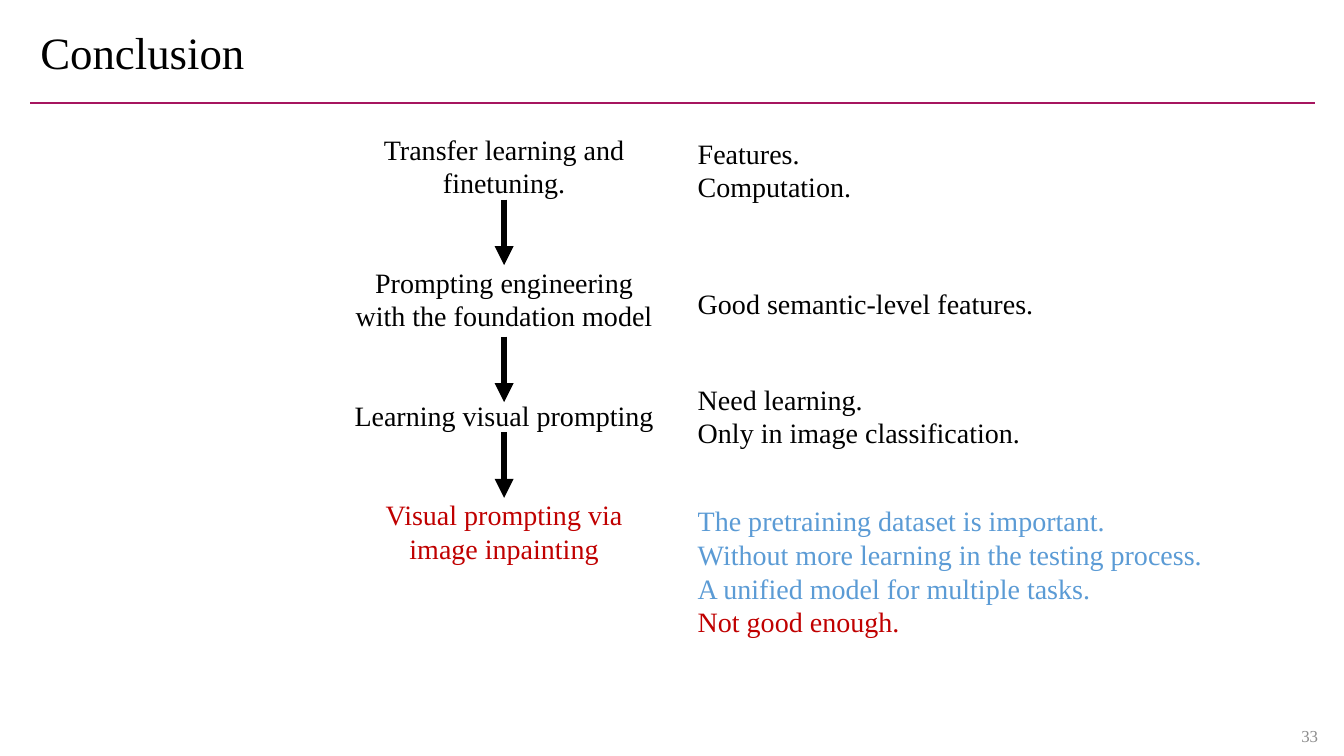
"""Build the conclusion slide: four learning stages beside their remarks."""
import pptx
import pptx.dml.color
import pptx.enum.shapes
import pptx.enum.text
import pptx.oxml
import pptx.oxml.ns
import pptx.util
from pptx.util import Inches

COLORS = {"ink": "000000", "red": "C00000", "blue": "5B9BD5", "rule": "A6155F", "grey": "8C8C8C"}
FONT = "Times New Roman"
LINE_HEIGHT = 0.335
STAGE_CENTER = 5.0
REMARK_LEFT = 6.92
ALIGN = pptx.enum.text.PP_ALIGN
ANCHOR = pptx.enum.text.MSO_ANCHOR

# top, width, wraps, paragraphs
STAGES = [
    (1.31, 2.8, True, [("Transfer learning and finetuning.", "ink")]),
    (2.63, 2.96, False, [("Prompting engineering", "ink"), ("with the foundation model", "ink")]),
    (3.95, 2.99, False, [("Learning visual prompting", "ink")]),
    (4.94, 2.8, True, [("Visual prompting via image inpainting", "red")]),
]
REMARKS = [
    (1.35, 1.53, [("Features.", "ink"), ("Computation.", "ink")]),
    (2.84, 3.35, [("Good semantic-level features.", "ink")]),
    (3.79, 3.22, [("Need learning.", "ink"), ("Only in image classification.", "ink")]),
    (5.0, 5.03, [
        ("The pretraining dataset is important.", "blue"),
        ("Without more learning in the testing process.", "blue"),
        ("A unified model for multiple tasks.", "blue"),
        ("Not good enough.", "red"),
    ]),
]
ARROW_TOPS = [1.98, 3.34, 4.29]
ARROW_LENGTH = 0.65


def rgb(name):
    return pptx.dml.color.RGBColor.from_string(COLORS[name])


def fill_text(frame, paragraphs, size, align, **settings):
    for key, value in settings.items():
        setattr(frame, key, value)
    for index, (words, color) in enumerate(paragraphs):
        para = frame.paragraphs[0] if index == 0 else frame.add_paragraph()
        para.alignment = align
        span = para.add_run()
        span.text = words
        for key, value in {"name": FONT, "size": pptx.util.Pt(size)}.items():
            setattr(span.font, key, value)
        span.font.color.rgb = rgb(color)


def add_text(page, left, top, width, paragraphs, align, wraps=False):
    lines = 2 if wraps else len(paragraphs)
    box = page.shapes.add_textbox(
        Inches(left), Inches(top), Inches(width), Inches(lines * LINE_HEIGHT))
    fill_text(box.text_frame, paragraphs, 20, align, word_wrap=wraps,
              auto_size=pptx.enum.text.MSO_AUTO_SIZE.SHAPE_TO_FIT_TEXT,
              margin_left=0, margin_right=0, margin_top=0, margin_bottom=0)


def add_line(page, start, end, color, weight, arrow=False):
    line = page.shapes.add_connector(
        pptx.enum.shapes.MSO_CONNECTOR.STRAIGHT, *map(Inches, start + end))
    line.line.color.rgb = rgb(color)
    line.line.width = pptx.util.Pt(weight)
    if arrow:
        head = pptx.oxml.parse_xml(
            f'<a:tailEnd {pptx.oxml.ns.nsdecls("a")} type="triangle"/>')
        line.line._get_or_add_ln().append(head)
    line._element.spPr.append(
        pptx.oxml.parse_xml(f'<a:effectLst {pptx.oxml.ns.nsdecls("a")}/>'))


def main():
    deck = pptx.Presentation()
    deck.slide_width, deck.slide_height = Inches(13.33), Inches(7.5)
    page = deck.slides.add_slide(deck.slide_layouts[5])

    add_line(page, (0.3, 1.02), (13.04, 1.02), "rule", 1.5)
    number = page.shapes.add_textbox(Inches(12.65), Inches(7.1), Inches(0.68), Inches(0.4))
    fill_text(number.text_frame, [("33", "grey")], 12, ALIGN.CENTER,
              word_wrap=True, vertical_anchor=ANCHOR.MIDDLE)

    title = page.shapes.title
    place = {"left": 0.3, "top": 0.2, "width": 11.98, "height": 0.7}
    for key, value in place.items():
        setattr(title, key, Inches(value))
    fill_text(title.text_frame, [("Conclusion", "ink")], 32, ALIGN.LEFT,
              vertical_anchor=ANCHOR.MIDDLE)
    title.text_frame.paragraphs[0].line_spacing = 0.9

    for top, width, wraps, paragraphs in STAGES:
        add_text(page, STAGE_CENTER - width / 2, top, width, paragraphs, ALIGN.CENTER, wraps)
    for top, width, paragraphs in REMARKS:
        add_text(page, REMARK_LEFT, top, width, paragraphs, ALIGN.LEFT)
    for top in ARROW_TOPS:
        add_line(page, (STAGE_CENTER, top), (STAGE_CENTER, top + ARROW_LENGTH),
                 "ink", 4.5, arrow=True)

    deck.save("out.pptx")


if __name__ == "__main__":
    main()
